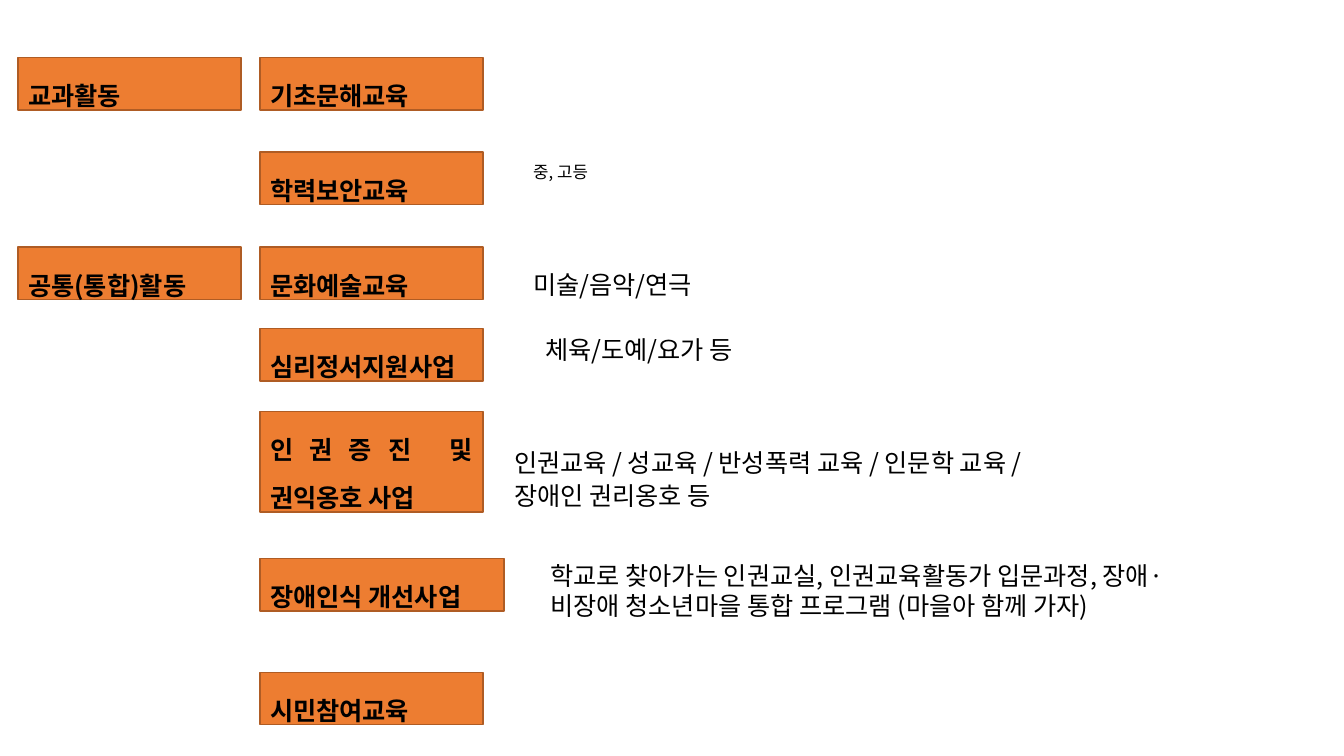
from pptx import Presentation
from pptx.dml.color import RGBColor
from pptx.enum.shapes import MSO_SHAPE
from pptx.enum.text import MSO_ANCHOR, PP_ALIGN
from pptx.oxml.ns import qn
from pptx.util import Inches, Pt
from lxml.etree import SubElement

FONT = "Noto Sans CJK KR"
COLUMNS = (0.18, 2.58)
BOX_WIDTH, BOX_HEIGHT = 2.21, 0.52
FIRST_ROW, ROW_STEP = 0.57, 0.94
SUPPORT_ROW, SUPPORT_STEP = 3.26, 0.82

ROWS = [FIRST_ROW + ROW_STEP * index for index in range(3)]
SUPPORT_ROWS = [SUPPORT_ROW + SUPPORT_STEP * index for index in range(2)]

ACTIVITIES = [
    (0, ROWS[0], "교과활동"),
    (0, ROWS[2], "공통(통합)활동"),
    (1, ROWS[0], "기초문해교육"),
    (1, ROWS[1], "학력보안교육"),
    (1, ROWS[2], "문화예술교육"),
    (1, SUPPORT_ROWS[0], "심리정서지원사업"),
    (1, SUPPORT_ROWS[1], "인권증진 및 권익옹호 사업", BOX_WIDTH, 1),
    (1, 5.54, "장애인식 개선사업", 2.42),
    (1, 6.67, "시민참여교육"),
]

DETAILS = [
    (5.19, 1.54, 6.7, 0.3, "중, 고등", 12),
    (5.19, 2.59, 6.7, 0.39, "미술/음악/연극"),
    (5.31, 3.24, 6.7, 0.39, "체육/도예/요가 등"),
    (5, 4.36, 7.62, 0.73,
     "인권교육 / 성교육 / 반성폭력 교육 / 인문학 교육 /\n장애인 권리옹호 등"),
]
AWARENESS = (
    "학교로 찾아가는 인권교실, 인권교육활동가 입문과정, "
    "장애·비장애 청소년마을 통합 프로그램 (마을아 함께 가자)"
)


def color(value):
    return RGBColor.from_string(value)


def write(shape, text, size, spacing, align, bold=False):
    frame = shape.text_frame
    frame.word_wrap = True
    frame.vertical_anchor = MSO_ANCHOR.TOP
    frame.text = text
    for paragraph in frame.paragraphs:
        paragraph.alignment = align
        paragraph.line_spacing = spacing
        for span in paragraph.runs:
            span.font.name = FONT
            span.font.size = Pt(size)
            span.font.bold = bold
            span.font.color.rgb = color("000000")
            east_asian = SubElement(span.font._element, qn("a:ea"))
            east_asian.set("typeface", FONT)


def add_activity(page, column, top, text, width=BOX_WIDTH, height=BOX_HEIGHT):
    box = page.shapes.add_shape(
        MSO_SHAPE.RECTANGLE, Inches(COLUMNS[column]), Inches(top),
        Inches(width), Inches(height))
    box.shadow.inherit = False
    box.fill.solid()
    box.fill.fore_color.rgb = color("ED7D31")
    box.line.color.rgb = color("AF5C24")
    box.line.width = Pt(1)
    write(box, text, 18, 1.6, PP_ALIGN.JUSTIFY, True)


def add_detail(page, left, top, width, height, text, size=18, spacing=1.1,
               align=PP_ALIGN.JUSTIFY):
    box = page.shapes.add_textbox(
        Inches(left), Inches(top), Inches(width), Inches(height))
    write(box, text, size, spacing, align)


def main():
    deck = Presentation()
    deck.slide_width, deck.slide_height = Inches(13.33), Inches(7.5)
    page = deck.slides.add_slide(deck.slide_layouts[6])
    for activity in ACTIVITIES:
        add_activity(page, *activity)
    for detail in DETAILS:
        add_detail(page, *detail)
    add_detail(page, 5.36, 5.51, 6.65, 0.71, AWARENESS, 18, 1, PP_ALIGN.LEFT)
    deck.save("out.pptx")


main()
